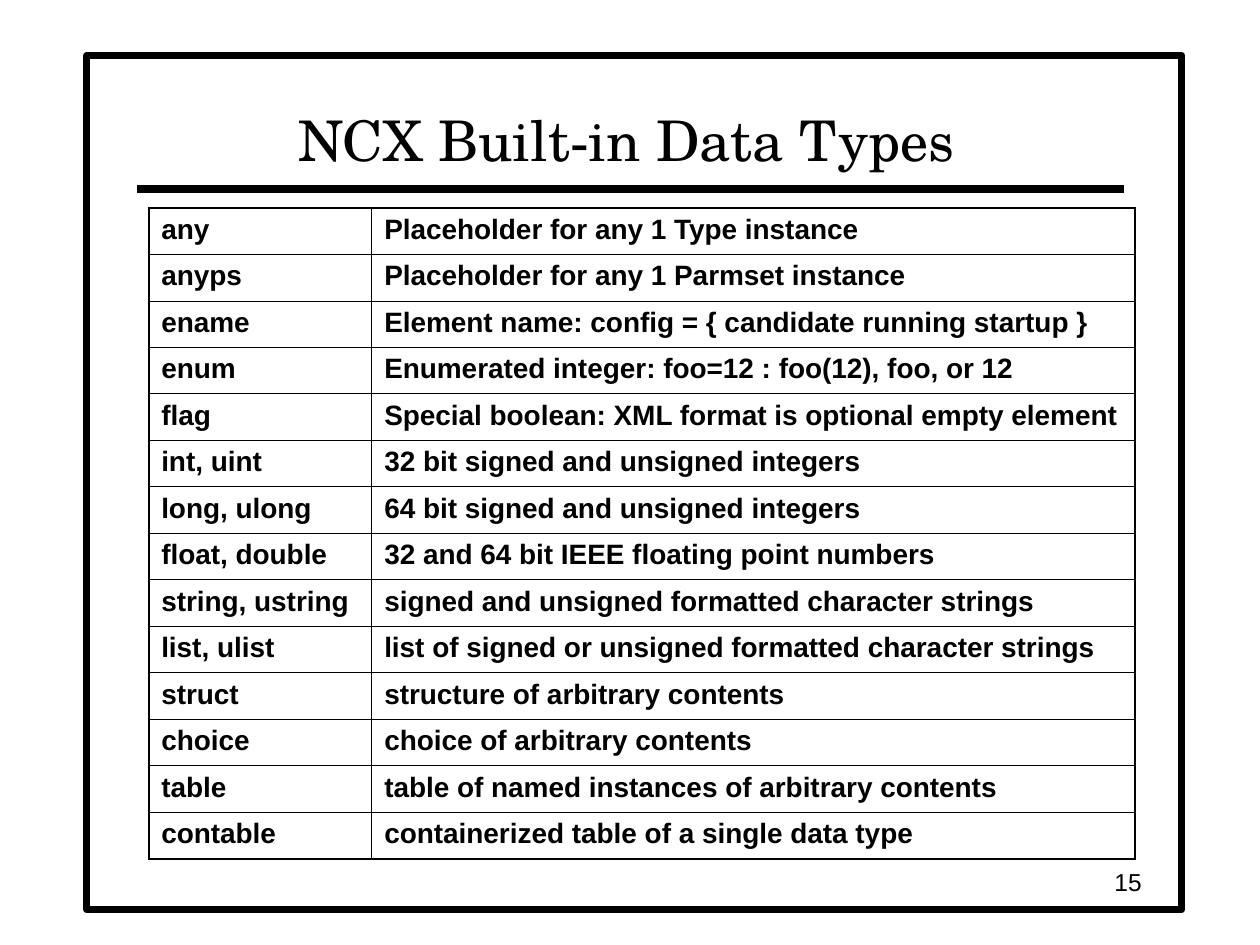
from lxml.etree import SubElement
from pptx import Presentation
from pptx.dml.color import RGBColor
from pptx.enum.shapes import MSO_CONNECTOR, MSO_SHAPE
from pptx.enum.text import MSO_ANCHOR, PP_ALIGN
from pptx.oxml.ns import qn
from pptx.util import Inches, Pt

INK, PAPER = "000000", "FFFFFF"
THIN, THICK = 0.45, 1.08

TYPES = [
    ("any", "Placeholder for any 1 Type instance"),
    ("anyps", "Placeholder for any 1 Parmset instance"),
    ("ename", "Element name: config = { candidate running startup }"),
    ("enum", "Enumerated integer: foo=12 : foo(12), foo, or 12"),
    ("flag", "Special boolean: XML format is optional empty element"),
    ("int, uint", "32 bit signed and unsigned integers"),
    ("long, ulong", "64 bit signed and unsigned integers"),
    ("float, double", "32 and 64 bit IEEE floating point numbers"),
    ("string, ustring", "signed and unsigned formatted character strings"),
    ("list, ulist", "list of signed or unsigned formatted character strings"),
    ("struct", "structure of arbitrary contents"),
    ("choice", "choice of arbitrary contents"),
    ("table", "table of named instances of arbitrary contents"),
    ("contable", "containerized table of a single data type"),
]


def paint(code):
    """Turn a hex string into a colour."""
    return RGBColor.from_string(code)


def write(frame, text, size=16, font="Arial", bold=False, align=PP_ALIGN.LEFT):
    """Put one formatted paragraph into a text frame."""
    para = frame.paragraphs[0]
    para.alignment = align
    run = para.add_run()
    run.text = text
    run.font.size = Pt(size)
    run.font.name = font
    run.font.bold = bold
    run.font.color.rgb = paint(INK)


def edge(cell, side, width):
    """Draw one border of a table cell."""
    line = SubElement(cell._tc.get_or_add_tcPr(), qn("a:ln" + side), w=str(Pt(width)))
    fill = SubElement(line, qn("a:solidFill"))
    SubElement(fill, qn("a:srgbClr"), val=INK)


class Deck:
    """Style and current slide, on a grid of 100 columns by 75 rows."""

    def __init__(self):
        """Start a file with one blank slide."""
        self.file = Presentation()
        self.file.slide_width, self.file.slide_height = self.grid(100, 75)
        self.slide = self.file.slides.add_slide(self.file.slide_layouts[6])
        self.shapes = self.slide.shapes

    def grid(self, *cells):
        """Turn columns or rows into lengths."""
        return [Inches(n / 10) for n in cells]

    def frame(self, *area, width):
        """Draw an outlined box."""
        box = self.shapes.add_shape(MSO_SHAPE.RECTANGLE, *self.grid(*area))
        box.shadow.inherit = False
        box.fill.solid()
        box.fill.fore_color.rgb = paint(PAPER)
        box.line.color.rgb = paint(INK)
        box.line.width = Pt(width)

    def rule(self, *ends, width):
        """Draw a straight line."""
        line = self.shapes.add_connector(MSO_CONNECTOR.STRAIGHT, *self.grid(*ends))
        line.line.color.rgb = paint(INK)
        line.line.width = Pt(width)
        SubElement(line._element.spPr, qn("a:effectLst"))

    def text(self, *area, text, anchor, **style):
        """Add a text box."""
        frame = self.shapes.add_textbox(*self.grid(*area)).text_frame
        frame.word_wrap = True
        frame.vertical_anchor = anchor
        write(frame, text, **style)

    def table(self, *area, rows, cols):
        """Add a table with thick outer and thin inner borders."""
        last, end = len(rows) - 1, len(cols) - 1
        table = self.shapes.add_table(len(rows), len(cols), *self.grid(*area)).table
        table.first_row = table.horz_banding = False
        for col, wide in zip(table.columns, self.grid(*cols)):
            col.width = wide
        for r, row in enumerate(rows):
            for c, text in enumerate(row):
                cell = table.cell(r, c)
                outer = {"L": c == 0, "R": c == end, "T": r == 0, "B": r == last}
                for side, thick in outer.items():
                    edge(cell, side, THICK if thick else THIN)
                cell.fill.background()
                write(cell.text_frame, text, bold=True)


def main():
    """Build the slide and save it."""
    deck = Deck()
    deck.frame(6.9, 4.4, 86.9, 67.8, width=4)
    deck.rule(10.9, 15, 89.2, 15, width=4.5)
    deck.text(10.8, 5, 77.9, 9.2, text="NCX Built-in Data Types", size=32,
              font="TeX Gyre Schola", align=PP_ALIGN.CENTER, anchor=MSO_ANCHOR.BOTTOM)
    deck.table(11.8, 16.5, 78.3, 51.7, rows=TYPES, cols=(17.7, 60.6))
    deck.text(70.8, 68.3, 20.8, 3.3, text="15", size=14,
              align=PP_ALIGN.RIGHT, anchor=MSO_ANCHOR.MIDDLE)
    deck.file.save("out.pptx")


if __name__ == "__main__":
    main()
